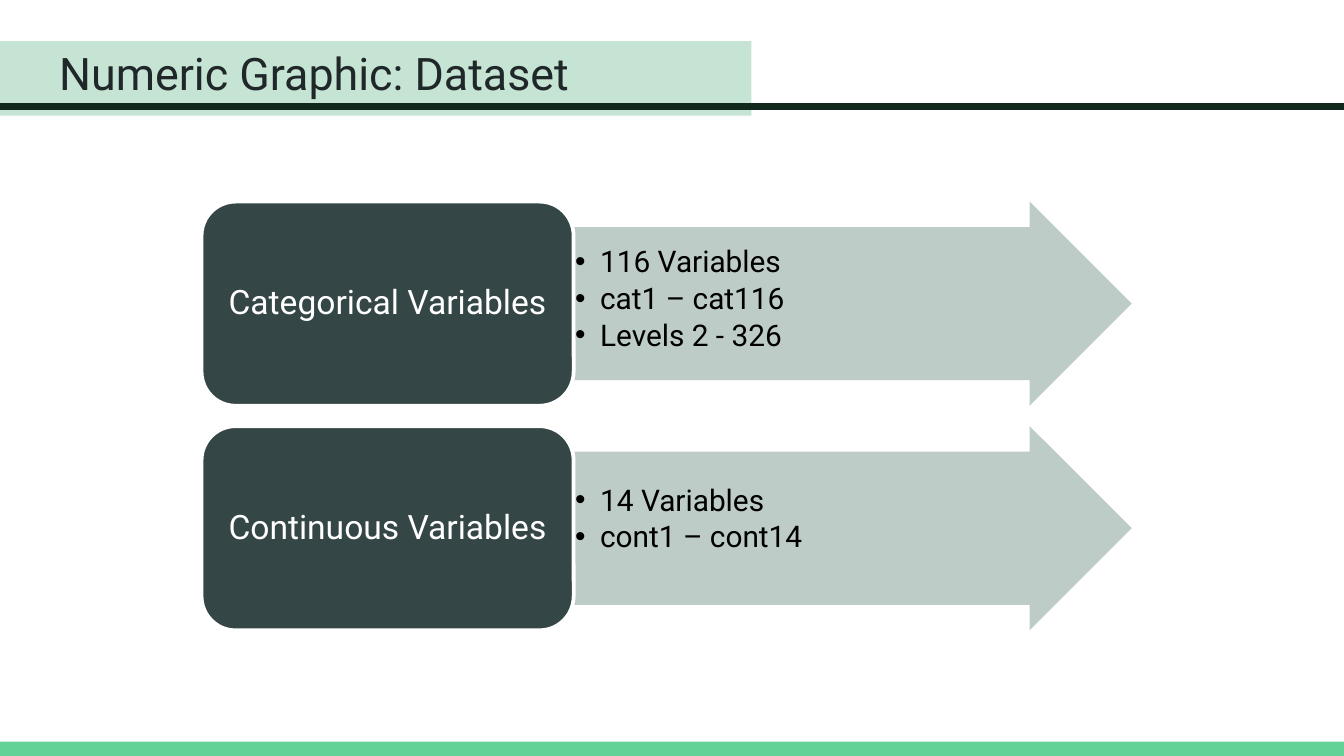
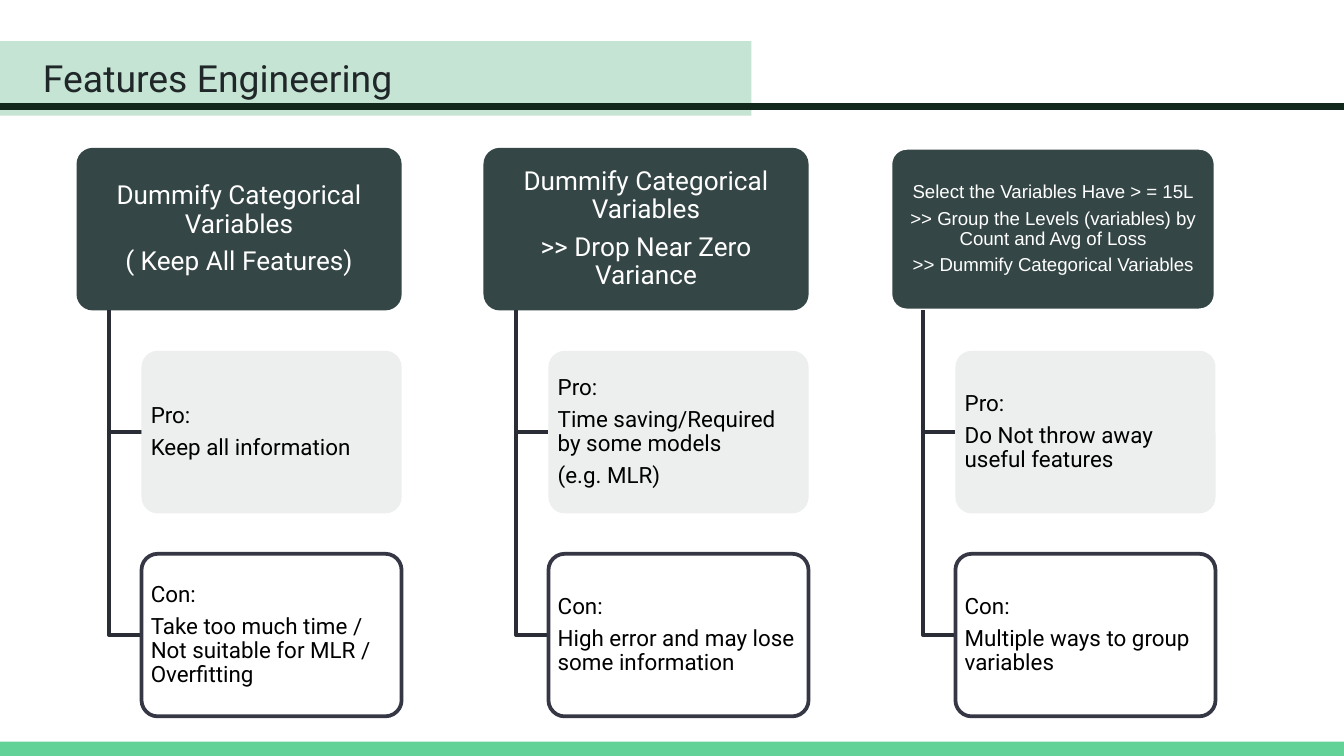
from pptx import Presentation
from pptx.dml.color import RGBColor
from pptx.enum.shapes import MSO_SHAPE as Preset
from pptx.enum.text import MSO_ANCHOR as Anchor, MSO_AUTO_SIZE as AutoSize, PP_ALIGN as Align
from pptx.oxml.ns import qn
from pptx.util import Pt
from lxml.etree import SubElement

SLIDE_W, SLIDE_H = 720, 405
FONT = "Roboto"
DARK, WHITE, BLACK = "344645", "FFFFFF", "000000"
MINT, INK, GREEN, TITLE_TEXT = "8FCBAB", "12281D", "63D297", "202729"
ARROW, PRO_FILL, CON_EDGE, BRANCH = "B7C7C2", "EAEEED", "353744", "2A2C36"

VARIABLE_GROUPS = [
    ("Categorical Variables", ["116 Variables", "cat1 – cat116", "Levels 2 - 326"], 10.6),
    ("Continuous Variables", ["14 Variables", "cont1 – cont14"], 18),
]

STRATEGIES = [
    {"header": ["Dummify Categorical Variables", "( Keep All Features)"],
     "pro": ["Keep all information"],
     "con": ["Take too much time / Not suitable for MLR / Overfitting"]},
    {"header": ["Dummify Categorical Variables", ">> Drop Near Zero Variance"],
     "pro": ["Time saving/Required by some models", "(e.g. MLR)"],
     "con": ["High error and may lose some information"]},
    {"header": ["Select the Variables Have > = 15L",
                ">> Group the Levels (variables) by Count and Avg of Loss",
                ">> Dummify Categorical Variables"],
     "pro": ["Do Not throw away useful features"],
     "con": ["Multiple ways to group variables"],
     "style": {"size": 10, "font": "Arial"}, "edge": WHITE},
]


def paint(fill, color, opacity=100):
    fill.solid()
    fill.fore_color.rgb = RGBColor.from_string(color)
    if opacity < 100:
        srgb = fill._xPr.find(qn("a:solidFill")).find(qn("a:srgbClr"))
        SubElement(srgb, qn("a:alpha")).set("val", str(opacity * 1000))


def place(shape, left, top, width, height):
    shape.left, shape.top, shape.width, shape.height = map(Pt, (left, top, width, height))


def bring_to_front(slide, shape):
    slide.shapes.element.append(shape.element)


def add_block(slide, preset, box, color, opacity=100, edge=None):
    block = slide.shapes.add_shape(preset, *map(Pt, box))
    block.shadow.inherit = False
    paint(block.fill, color, opacity)
    if edge:
        paint(block.line.fill, edge)
        block.line.width = Pt(2)
    else:
        block.line.fill.background()
    return block


def write(shape, lines, size, color, align=Align.LEFT, font=FONT, gap=0.0,
          spacing=0.9, anchor=Anchor.MIDDLE, insets=(2.4, 1.6, 2.4, 1.6), hanging=0):
    frame = shape.text_frame
    frame.word_wrap = True
    frame.auto_size = AutoSize.NONE
    frame.vertical_anchor = anchor
    (frame.margin_left, frame.margin_top,
     frame.margin_right, frame.margin_bottom) = map(Pt, insets)
    frame.text = "\n".join(lines)
    for paragraph in frame.paragraphs:
        if hanging:
            properties = paragraph._p.get_or_add_pPr()
            properties.set("marL", str(Pt(hanging)))
            properties.set("indent", str(-Pt(hanging)))
            SubElement(properties, qn("a:buChar")).set("char", "•")
        paragraph.alignment = align
        paragraph.line_spacing = spacing
        paragraph.space_before = Pt(0)
        paragraph.space_after = Pt(round(gap * size, 2))
        paragraph.font.name = font
        paragraph.font.size = Pt(size)
        paragraph.font.color.rgb = RGBColor.from_string(color)


def add_heading(slide, text, left, top, size):
    add_block(slide, Preset.FLOWCHART_PROCESS, (0, 22, 402.5, 40), MINT, 51)
    add_block(slide, Preset.FLOWCHART_PROCESS, (0, 55.3, SLIDE_W, 3.7), INK)
    title = slide.shapes.title
    place(title, left, top, 671, 45.4)
    write(title, [text], size, TITLE_TEXT, spacing=1.0, anchor=Anchor.TOP, insets=(7.2,) * 4)
    bring_to_front(slide, title)


def add_variable_group(slide, facts, box, name, lines, lead):
    left, top, width, height = box
    label_w = width * 0.4
    arrow_left = left + label_w
    arrow = add_block(slide, Preset.RIGHT_ARROW,
                      (arrow_left, top, width - label_w, height), ARROW, 90)
    arrow.adjustments[0], arrow.adjustments[1] = 0.75, 0.5
    place(facts, arrow_left, top + height / 8, width - label_w - 41, height * 0.75)
    write(facts, lines, 16, BLACK, gap=0.15, anchor=Anchor.TOP,
          insets=(0.7, lead, 0.7, 0.7), hanging=13.5)
    bring_to_front(slide, facts)
    label = add_block(slide, Preset.ROUNDED_RECTANGLE,
                      (left, top, label_w, height), DARK, edge=WHITE)
    write(label, [name], 18, WHITE, Align.CENTER, insets=(5, 3, 5, 3))


def add_branch(slide, x, top, bottom, reach):
    builder = slide.shapes.build_freeform(Pt(x), Pt(top))
    builder.add_line_segments([(Pt(x), Pt(bottom)), (Pt(x + reach), Pt(bottom))], close=False)
    branch = builder.convert_to_shape()
    branch.shadow.inherit = False
    branch.fill.background()
    paint(branch.line.fill, BRANCH)
    branch.line.width = Pt(2)


def add_card(slide, box, lines, color, text_color, opacity=100, edge=None, **style):
    card = add_block(slide, Preset.ROUNDED_RECTANGLE, box, color, opacity, edge)
    card.adjustments[0] = 0.1
    write(card, lines, color=text_color, gap=0.35, **style)


def add_strategy(slide, box, strategy):
    left, top, width, height = box
    card_h = height * 0.286
    pitch = (height - card_h) / 2
    step = width / 10
    header_style = {"size": 14, "align": Align.CENTER, **strategy.get("style", {})}
    add_card(slide, (left, top, width, card_h), strategy["header"], DARK, WHITE,
             edge=strategy.get("edge"), **header_style)
    verdicts = [("Pro:", strategy["pro"], PRO_FILL, None),
                ("Con:", strategy["con"], WHITE, CON_EDGE)]
    for row, (heading, reasons, color, edge) in enumerate(verdicts, 1):
        card_top = top + row * pitch
        add_branch(slide, left + step, top + card_h, card_top + card_h / 2, step)
        add_card(slide, (left + 2 * step, card_top, width - 2 * step, card_h),
                 [heading] + reasons, color, BLACK, 90, edge, size=12)


def build_dataset(prs):
    slide = prs.slides.add_slide(prs.slide_layouts.get_by_name("Two Content"))
    add_heading(slide, "Numeric Graphic: Dataset", 24.5, 17.3, 24)
    lists = [slide.placeholders[1], slide.placeholders[2]]
    for row, (facts, group) in enumerate(zip(lists, VARIABLE_GROUPS)):
        add_variable_group(slide, facts, (108, 108 + row * 120.3, 498.3, 109.4), *group)
    return slide


def build_features(prs):
    slide = prs.slides.add_slide(prs.slide_layouts.get_by_name("Title Only"))
    add_heading(slide, "Features Engineering", 15.8, 22.3, 20)
    for column, strategy in enumerate(STRATEGIES):
        add_strategy(slide, (41 + column * 218, 79.2, 174.2, 304.6), strategy)


def add_footer(prs, slide):
    footer = add_block(slide, Preset.RECTANGLE, (0, 397.4, SLIDE_W, SLIDE_H - 397.4), GREEN)
    prs.slide_master.shapes.element.append(footer.element)


def main():
    prs = Presentation()
    prs.slide_width, prs.slide_height = Pt(SLIDE_W), Pt(SLIDE_H)
    dataset = build_dataset(prs)
    build_features(prs)
    add_footer(prs, dataset)
    prs.save("out.pptx")


if __name__ == "__main__":
    main()
